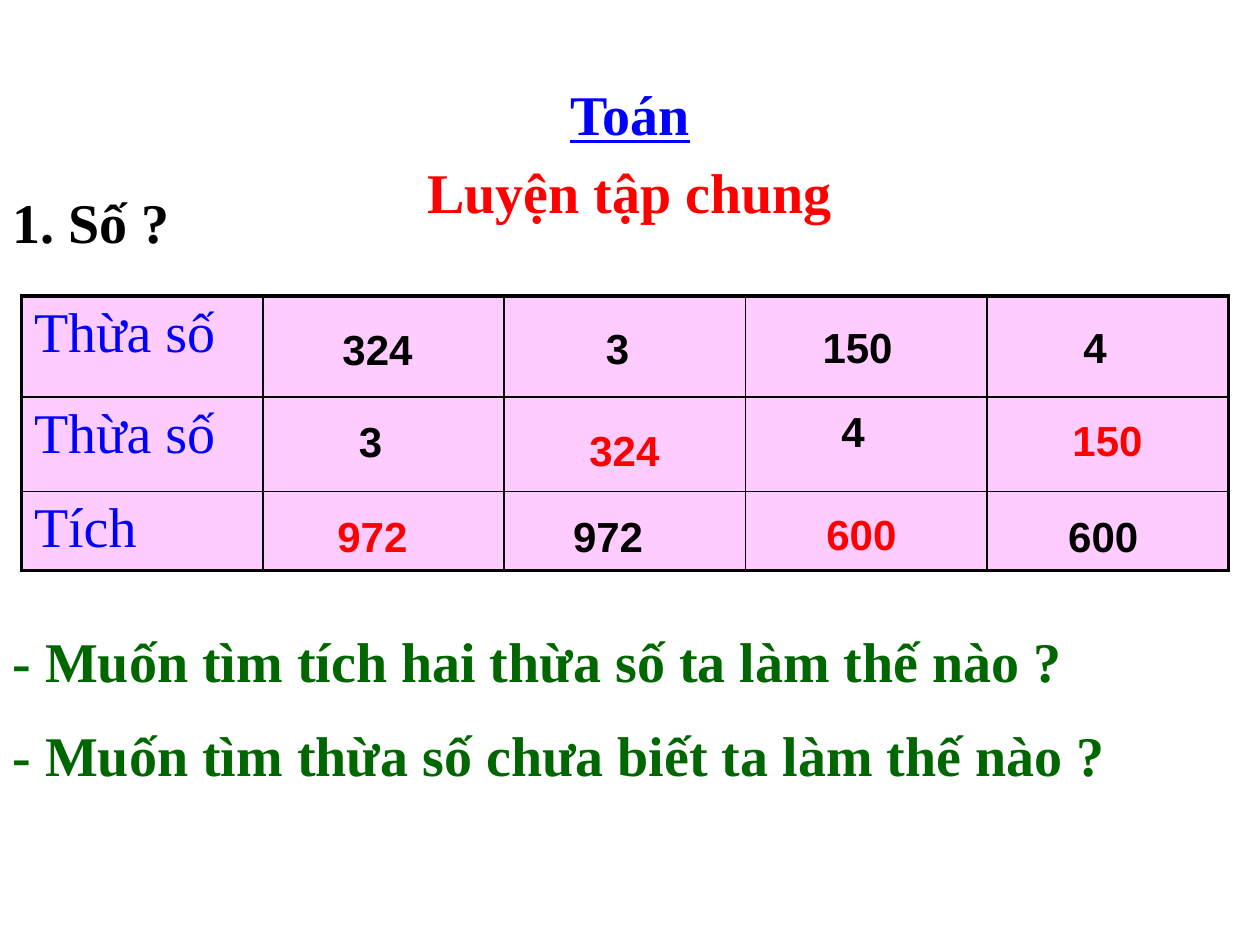
"""Build a multiplication exercise slide with a factor and product table."""
from dataclasses import dataclass

from lxml import etree
from pptx import Presentation
from pptx.dml.color import RGBColor
from pptx.enum import text
from pptx.oxml import ns
from pptx.util import Inches, Pt

SERIF, SANS = "Times New Roman", "Arial"
BLACK, RED, BLUE, GREEN, PINK = "000000", "FF0000", "0000FF", "006600", "FFCCFF"
LEFT, CENTER = text.PP_ALIGN.LEFT, text.PP_ALIGN.CENTER


@dataclass(frozen=True)
class Label:
    words: str
    left: float
    top: float
    width: float
    height: float
    color: str
    font: str = SERIF
    size: int = 32
    bold: bool = True
    underline: bool = False
    align: text.PP_ALIGN = LEFT


def number(words: str, left: float, top: float, color: str = BLACK,
           width: float = 0.83, align: text.PP_ALIGN = LEFT) -> Label:
    return Label(words, left, top, width, 0.5, color, SANS, 24, align=align)


HEADING = Label("Luyện tập chung", 0, 1.18, 10, 0.67, RED, align=CENTER)
TEXTS = [
    Label("Toán", 0, 0.58, 10, 0.63, BLUE, underline=True, align=CENTER),
    Label("1. Số ?", 0, 1.44, 2.08, 0.63, BLACK),
    Label("- Muốn tìm tích hai thừa số ta làm thế nào ?", 0, 4.92, 9.75, 0.63, GREEN),
    Label("- Muốn tìm thừa số chưa biết ta làm thế nào ?", 0, 5.67, 9.75, 0.63, GREEN),
]
NUMBERS = [
    number("324", 2.62, 2.52),
    number("3", 4.71, 2.51),
    number("150", 6.43, 2.5),
    number("4", 8.5, 2.5),
    number("3", 2.75, 3.25),
    number("324", 4.58, 3.32, RED, 1.33),
    number("4", 6.58, 3.17),
    number("150", 8.25, 3.24, RED, 1.08, CENTER),
    number("972", 2.58, 4, RED),
    number("972", 4.45, 4),
    number("600", 6.46, 3.99, RED, 1.08),
    number("600", 8.38, 4),
]
ROW_NAMES = ["Thừa số", "Thừa số", "Tích"]
ROW_HEIGHTS = [0.8, 0.75, 0.63]
COLUMNS, TABLE_LEFT, TABLE_TOP, TABLE_WIDTH = 5, 0.17, 2.35, 9.58


def rgb(color: str) -> RGBColor:
    return RGBColor.from_string(color)


def write(frame, label: Label) -> None:
    para = frame.paragraphs[0]
    para.alignment = label.align
    span = para.add_run()
    span.text = label.words
    span.font.name = label.font
    span.font.size = Pt(label.size)
    span.font.bold = label.bold
    span.font.underline = label.underline
    span.font.color.rgb = rgb(label.color)


def add_label(page, label: Label) -> None:
    box = page.shapes.add_textbox(Inches(label.left), Inches(label.top),
                                  Inches(label.width), Inches(label.height))
    box.text_frame.word_wrap = True
    box.text_frame.auto_size = text.MSO_AUTO_SIZE.SHAPE_TO_FIT_TEXT
    write(box.text_frame, label)


def set_heading(page, label: Label) -> None:
    title = page.shapes.title
    title.left, title.top = Inches(label.left), Inches(label.top)
    title.width, title.height = Inches(label.width), Inches(label.height)
    title.text_frame.auto_size = text.MSO_AUTO_SIZE.NONE
    title.text_frame.vertical_anchor = text.MSO_ANCHOR.MIDDLE
    write(title.text_frame, label)


def set_borders(cell, outer: dict[str, bool]) -> None:
    properties = cell._tc.get_or_add_tcPr()
    for index, (side, is_outer) in enumerate(outer.items()):
        line = etree.Element(ns.qn(f"a:{side}"), w=str(Pt(2.25 if is_outer else 1)))
        fill = etree.SubElement(line, ns.qn("a:solidFill"))
        etree.SubElement(fill, ns.qn("a:srgbClr"), val=BLACK)
        properties.insert(index, line)


def add_grid(page) -> None:
    last_row, last_column = len(ROW_NAMES) - 1, COLUMNS - 1
    table = page.shapes.add_table(len(ROW_NAMES), COLUMNS, Inches(TABLE_LEFT), Inches(TABLE_TOP),
                                  Inches(TABLE_WIDTH), Inches(sum(ROW_HEIGHTS))).table
    table.first_row = table.horz_banding = False
    for column in table.columns:
        column.width = Inches(TABLE_WIDTH / COLUMNS)
    for row, (name, height) in enumerate(zip(ROW_NAMES, ROW_HEIGHTS)):
        table.rows[row].height = Inches(height)
        for column in range(COLUMNS):
            cell = table.cell(row, column)
            cell.fill.solid()
            cell.fill.fore_color.rgb = rgb(PINK)
            set_borders(cell, {"lnL": column == 0, "lnR": column == last_column,
                               "lnT": row == 0, "lnB": row == last_row})
        write(table.cell(row, 0).text_frame, Label(name, 0, 0, 0, 0, BLUE, bold=False))


def main() -> None:
    deck = Presentation()
    deck.slide_width, deck.slide_height = Inches(10), Inches(7.5)
    page = deck.slides.add_slide(deck.slide_layouts[5])
    set_heading(page, HEADING)
    add_grid(page)
    for label in TEXTS + NUMBERS:
        add_label(page, label)
    deck.save("out.pptx")


if __name__ == "__main__":
    main()
